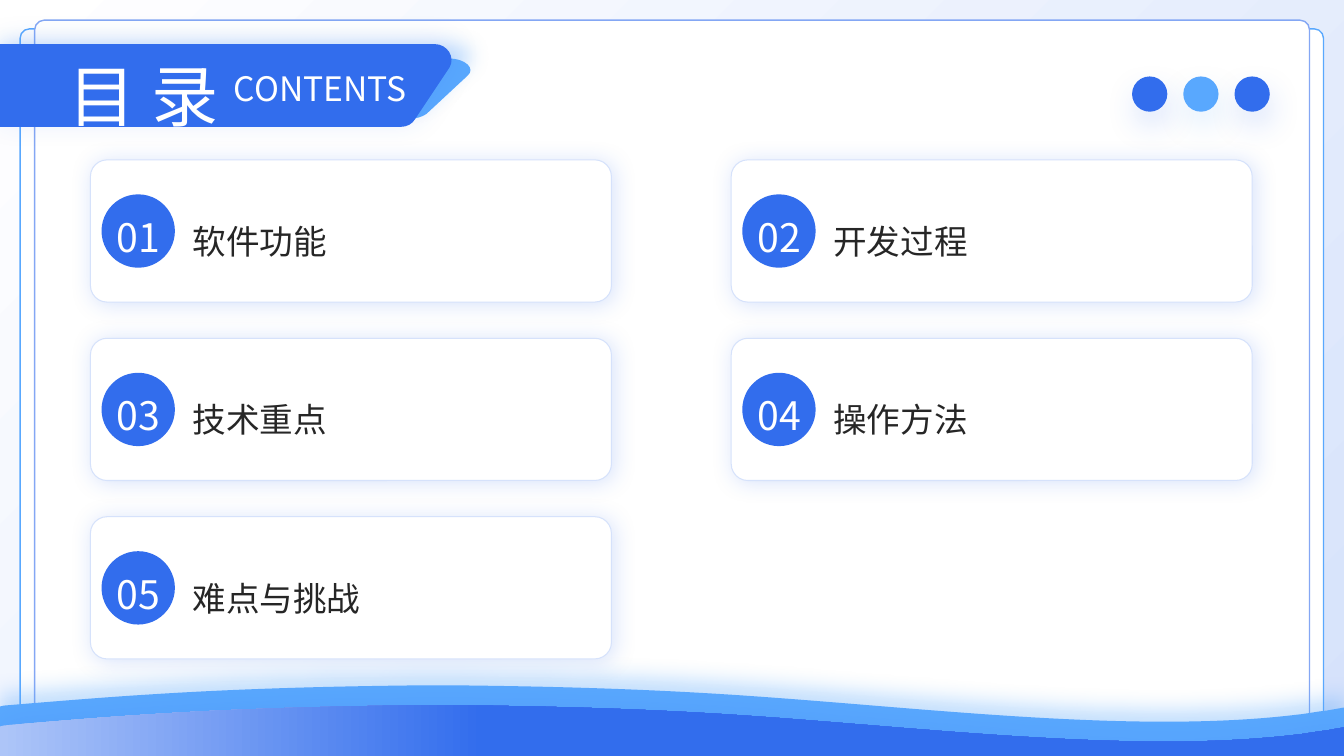
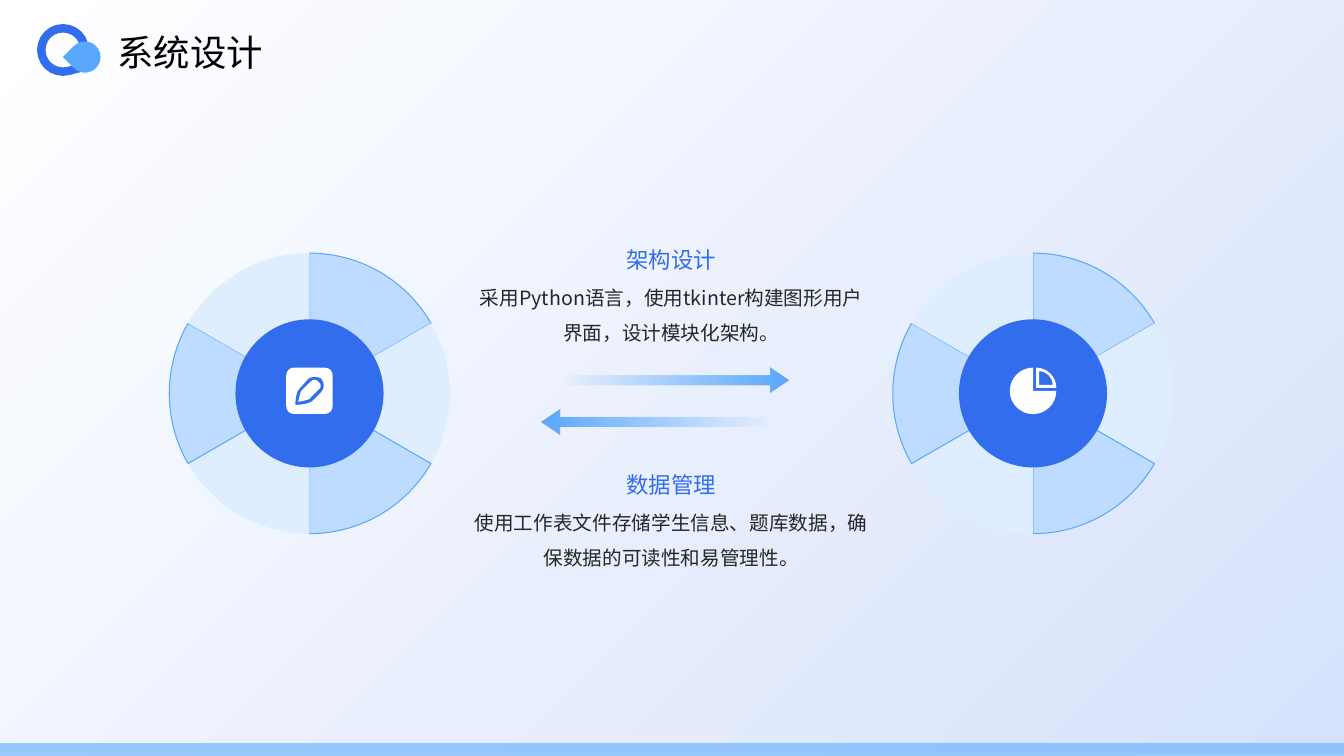
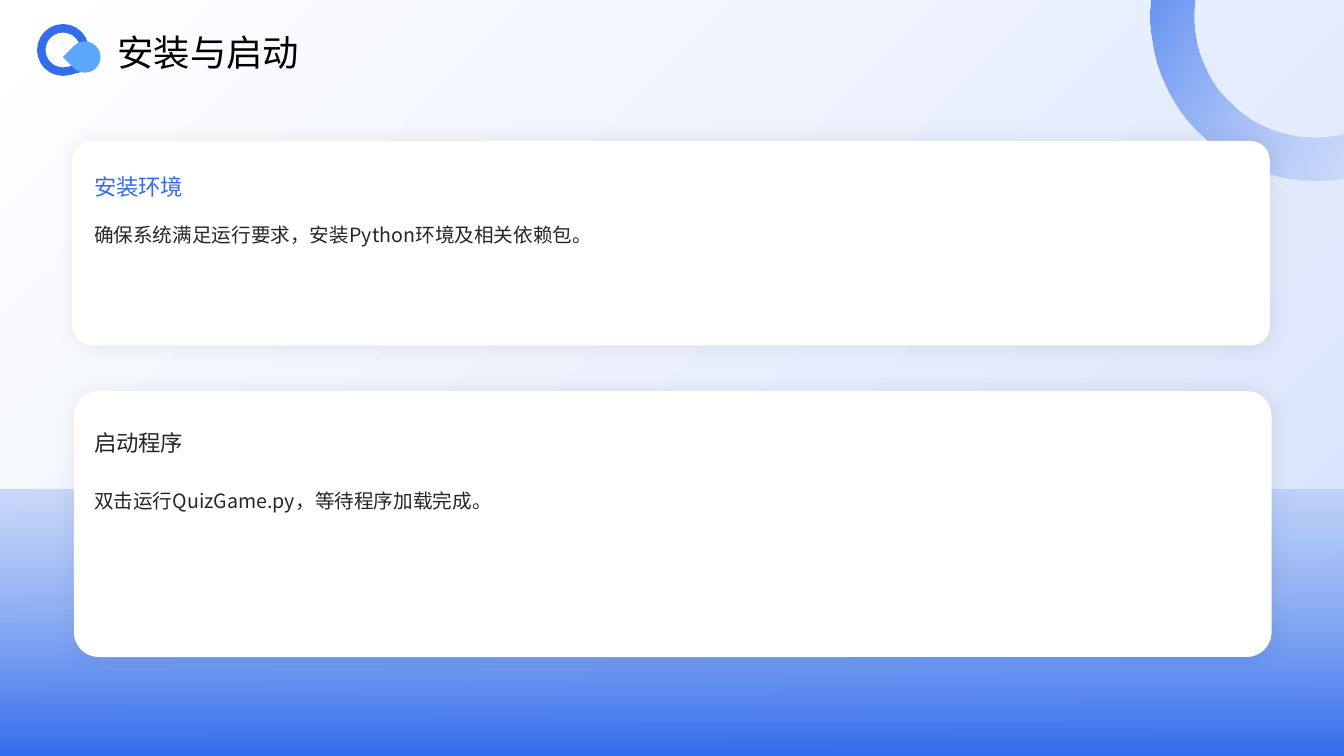
from dataclasses import dataclass
from math import cos, radians, sin, tan
from typing import NamedTuple, Optional, Union

from lxml.etree import SubElement
from pptx import Presentation
from pptx.dml.color import RGBColor
from pptx.enum.shapes import MSO_SHAPE
from pptx.enum.text import MSO_ANCHOR, PP_ALIGN
from pptx.oxml import parse_xml
from pptx.oxml.ns import nsdecls, qn
from pptx.util import Pt

WIDTH, HEIGHT = 960, 540
FONT = "Noto Sans CJK SC"
BLUE, SKY, MIST = "326DED", "59A8FE", "ADC5F8"
PALE, WHITE, INK, BLACK = "D6E2FB", "FFFFFF", "262626", "000000"
WEDGE_DARK, WEDGE_LIGHT = "BDDCFF", "DEEEFF"
Contour = list[tuple[float, ...]]


class Area(NamedTuple):
    """A rectangle in points."""
    left: float
    top: float
    width: float
    height: float


class Stop(NamedTuple):
    """A gradient stop; position and opacity in percent."""
    position: float
    color: str
    opacity: float = 100


class Gradient(NamedTuple):
    """A linear gradient; the angle runs clockwise from rightwards."""
    stops: list[Stop]
    angle: float = 0


class Shadow(NamedTuple):
    """An outer shadow; opacity in percent, lengths in points."""
    color: str
    opacity: float
    blur: float
    distance: float
    angle: float


@dataclass
class Look:
    """Fill, outline, shadow, turn and shape adjustments."""
    fill: Union[str, Gradient, None] = None
    line: Optional[str] = None
    weight: float = 0.75
    shadow: Optional[Shadow] = None
    rotation: float = 0
    adjustments: tuple[float, ...] = ()


@dataclass
class TextStyle:
    """Character and paragraph format of a text box."""
    size: float
    color: str = INK
    spacing: float = 1.5
    align: PP_ALIGN = PP_ALIGN.LEFT
    anchor: MSO_ANCHOR = MSO_ANCHOR.TOP
    inset: tuple[float, float] = (0, 0)


@dataclass
class Topic:
    """A heading with its text and the top of each."""
    heading: str
    body: str
    heading_top: float
    body_top: float
    heading_color: str = BLUE


SKY_GLOW = Shadow(SKY, 32, 14, 10, 270)
BLUE_GLOW = Shadow(BLUE, 12, 20, 4, 300)


def rgb(color: str) -> RGBColor:
    """Turn a hex string into a colour."""
    return RGBColor.from_string(color)


def color_xml(color: str, opacity: float) -> str:
    """Give the XML of a colour with opacity."""
    return f'<a:srgbClr val="{color}"><a:alpha val="{round(opacity * 1000)}"/></a:srgbClr>'


def fill_gradient(shape, gradient: Gradient) -> None:
    """Fill a shape with a linear gradient."""
    shape.fill.solid()
    properties = shape._element.spPr
    stops = "".join(
        f'<a:gs pos="{round(stop.position * 1000)}">{color_xml(stop.color, stop.opacity)}</a:gs>'
        for stop in gradient.stops)
    properties.replace(properties.find(qn("a:solidFill")), parse_xml(
        f'<a:gradFill {nsdecls("a")} rotWithShape="1"><a:gsLst>{stops}</a:gsLst>'
        f'<a:lin ang="{round(gradient.angle * 60000)}" scaled="0"/></a:gradFill>'))


def dress(shape, look: Look) -> None:
    """Apply a look to a shape."""
    if isinstance(look.fill, Gradient):
        fill_gradient(shape, look.fill)
    elif look.fill:
        shape.fill.solid()
        shape.fill.fore_color.rgb = rgb(look.fill)
    else:
        shape.fill.background()
    if look.line:
        shape.line.color.rgb = rgb(look.line)
        shape.line.width = Pt(look.weight)
    else:
        shape.line.fill.background()
    shape.shadow.inherit = False
    if look.shadow:
        shadow = look.shadow
        shape._element.spPr.find(qn("a:effectLst")).append(parse_xml(
            f'<a:outerShdw {nsdecls("a")} blurRad="{Pt(shadow.blur)}" dist="{Pt(shadow.distance)}" '
            f'dir="{round(shadow.angle * 60000)}" rotWithShape="0">'
            f'{color_xml(shadow.color, shadow.opacity)}</a:outerShdw>'))
    shape.rotation = look.rotation
    for index, value in enumerate(look.adjustments):
        shape.adjustments[index] = value


def draw(page, kind: MSO_SHAPE, area: Area, look: Look) -> None:
    """Add a preset shape."""
    dress(page.shapes.add_shape(kind, *map(Pt, area)), look)


def corners(step: tuple[float, ...]) -> list[tuple[int, int]]:
    """Split a step into its points."""
    return [(Pt(x), Pt(y)) for x, y in zip(step[::2], step[1::2])]


def bend(shape, contours: list[Contour]) -> None:
    """Turn the line triples that stand for cubic curves into curves."""
    outline = next(shape._element.spPr.iter(qn("a:path")))
    lines = iter(outline.findall(qn("a:lnTo")))
    for contour in contours:
        for step in contour[1:]:
            group = [next(lines) for _ in corners(step)]
            if len(group) == 3:
                curve = parse_xml(f'<a:cubicBezTo {nsdecls("a")}/>')
                group[0].addprevious(curve)
                for line in group:
                    curve.append(line[0])
                    outline.remove(line)


def draw_outline(page, contours: list[Contour], look: Look) -> None:
    """Add closed contours of points (x, y) and cubic curves (six numbers)."""
    builder = page.shapes.build_freeform(*corners(contours[0][0])[0])
    for index, contour in enumerate(contours):
        if index:
            builder.move_to(*corners(contour[0])[0])
        builder.add_line_segments([point for step in contour[1:] for point in corners(step)], close=True)
    shape = builder.convert_to_shape()
    bend(shape, contours)
    dress(shape, look)


def shift(contour: Contour, left: float, top: float) -> Contour:
    """Move a contour."""
    return [tuple(value + (top if index % 2 else left) for index, value in enumerate(step))
            for step in contour]


def sector(x: float, y: float, radius: float, start: float, step: float, count: int = 1) -> Contour:
    """Give a pie slice of some equal arcs; angles run clockwise from the right."""
    handle = 4 / 3 * tan(radians(step / 4))
    contour: Contour = [(cos(radians(start)), sin(radians(start)))]
    for index in range(count):
        first, last = radians(start + step * index), radians(start + step * (index + 1))
        contour.append((cos(first) - handle * sin(first), sin(first) + handle * cos(first),
                        cos(last) + handle * sin(last), sin(last) - handle * cos(last),
                        cos(last), sin(last)))
    contour.append((0, 0))
    return shift([tuple(radius * value for value in part) for part in contour], x, y)


def disc(x: float, y: float, radius: float) -> Area:
    """Give the box around a circle."""
    return Area(x - radius, y - radius, 2 * radius, 2 * radius)


def write(page, area: Area, text: str, style: TextStyle) -> None:
    """Add a text box with one paragraph."""
    frame = page.shapes.add_textbox(*map(Pt, area)).text_frame
    side, end = map(Pt, style.inset)
    frame_values = {"word_wrap": True, "vertical_anchor": style.anchor, "margin_left": side,
                    "margin_right": side, "margin_top": end, "margin_bottom": end}
    para = frame.paragraphs[0]
    span = para.add_run()
    span.text = text
    para_values = {"alignment": style.align, "line_spacing": style.spacing}
    font_values = {"name": FONT, "size": Pt(style.size)}
    for target, values in ((frame, frame_values), (para, para_values), (span.font, font_values)):
        for name, value in values.items():
            setattr(target, name, value)
    span.font.color.rgb = rgb(style.color)
    SubElement(span.font._element, qn("a:ea")).set("typeface", FONT)


def add_page(deck):
    """Add a page with the shared backdrop and bottom strip."""
    page = deck.slides.add_slide(deck.slide_layouts[6])
    backdrop = Gradient([Stop(0, WHITE), Stop(100, PALE)], 45)
    strip = Gradient([Stop(0, "9BCBFE"), Stop(100, SKY, 53)], 270)
    draw(page, MSO_SHAPE.RECTANGLE, Area(0, 0, WIDTH, HEIGHT), Look(backdrop))
    draw(page, MSO_SHAPE.RECTANGLE, Area(0, 530.9, WIDTH, 9.1), Look(strip))
    return page


def add_title(page, title: str) -> None:
    """Add the page title with its two drops."""
    draw(page, MSO_SHAPE.TEAR, Area(29.5, 20.2, 31, 31), Look(line=BLUE, weight=6, rotation=75))
    draw(page, MSO_SHAPE.TEAR, Area(49.5, 29.6, 22.3, 22.3), Look(SKY, rotation=225))
    write(page, Area(76.7, 18, 839.5, 38.9), title,
          TextStyle(26, BLACK, 1, inset=(7.2, 3.6)))


def add_wave(page, top: float, look: Look) -> None:
    """Add a wave that fills the foot of the page."""
    crest = [(0, 15.1), (2.9, 14.4), (38.2, 11.5, 72.7, 8.6, 106.6, 6.5),
             (173.5, 2.2, 236.9, 0.7, 296.6, 0), (329, 0),
             (389.5, 0.7, 452.2, 2.2, 519.8, 6.5),
             (654.5, 15.1, 807.8, 35.3, 926.6, 20.9),
             (933.8, 20.2, 940.3, 18.7, 947.5, 18), (WIDTH, 15.8)]
    draw_outline(page, [shift(crest, 0, top) + [(WIDTH, HEIGHT), (0, HEIGHT)]], look)


def add_contents_card(page, index: int, topic: str) -> None:
    """Add one numbered card of the two-column grid."""
    row, column = divmod(index, 2)
    left, top = 64.6 + 457.7 * column, 114.2 + 127.45 * row
    draw(page, MSO_SHAPE.ROUNDED_RECTANGLE, Area(left, top, 372.2, 101.6),
         Look(WHITE, PALE, shadow=Shadow(BLUE, 19, 16, 2, 30), adjustments=(0.117,)))
    write(page, Area(left + 72.9, top + 9.6, 286.6, 82), topic,
          TextStyle(24, anchor=MSO_ANCHOR.MIDDLE))
    draw(page, MSO_SHAPE.OVAL, Area(left + 7.9, top + 24.6, 52.4, 52.4), Look(BLUE))
    write(page, Area(left + 12.2, top + 28.2, 44, 43.2), f"{index + 1:02}",
          TextStyle(28, WHITE, 1.3, PP_ALIGN.CENTER, MSO_ANCHOR.MIDDLE))


def build_contents(deck) -> None:
    """Build the contents page."""
    page = add_page(deck)
    for area, line in ((Area(14.4, 20.6, 931, 512.6), SKY), (Area(24.8, 14.4, 910.6, 519.1), "84A7F4")):
        draw(page, MSO_SHAPE.ROUNDED_RECTANGLE, area, Look(WHITE, line, 1, adjustments=(0.013,)))
    back_ribbon = [(0, 41.8), (320.4, 41.8), (332.6, 41.8, 339.8, 49, 334.1, 54),
                   (304.6, 81.4), (301.7, 83.5, 296.6, 85, 291.6, 85), (0, 85)]
    front_ribbon = [(0, 31.5), (310.3, 31.5), (319.7, 31.5, 325.4, 41, 321.1, 48.2),
                    (296.6, 85), (294.5, 88.6, 290.9, 90.7, 285.8, 90.7), (0, 90.7)]
    draw_outline(page, [back_ribbon], Look(SKY, shadow=SKY_GLOW))
    draw_outline(page, [front_ribbon], Look(BLUE, shadow=BLUE_GLOW))
    for index, color in enumerate((BLUE, SKY, BLUE)):
        draw(page, MSO_SHAPE.OVAL, disc(821.2 + 36.6 * index, 67.2, 12.6),
             Look(color, shadow=Shadow(color, 17, 22, 10, 80)))
    add_wave(page, 489.6, Look(SKY, shadow=SKY_GLOW))
    add_wave(page, 503.8, Look(Gradient([Stop(0, MIST), Stop(36, BLUE)]), shadow=BLUE_GLOW))
    for index, topic in enumerate(("软件功能", "开发过程", "技术重点", "操作方法", "难点与挑战")):
        add_contents_card(page, index, topic)
    for left, width, text, size in ((49.3, 117.4, "目 录", 48), (167, 170.6, "CONTENTS", 24)):
        write(page, Area(left, 34.6, width, 48.2), text,
              TextStyle(size, WHITE, 1.3, anchor=MSO_ANCHOR.MIDDLE))


def add_wheel(page, x: float, y: float) -> None:
    """Add a wheel of six wedges around a blue core."""
    for index in range(6):
        look = Look(WEDGE_LIGHT) if index % 2 else Look(WEDGE_DARK, SKY)
        draw_outline(page, [sector(x, y, 100.2, 60 * index - 90, 60)], look)
    draw(page, MSO_SHAPE.OVAL, disc(x, y, 52.9), Look(BLUE))


def add_pen_icon(page, x: float, y: float) -> None:
    """Add a white tile with a pen cut out."""
    nib = [(20.2, 8.6), (21.6, 8.6, 22.3, 9.4, 23, 10.1), (25.2, 11.5, 25.2, 14.4, 23, 15.8),
           (16.6, 22.3), (15.8, 23, 12.2, 23.8, 8.6, 24.5), (9.4, 20.9, 10.1, 17.3, 10.8, 16.6),
           (17.3, 10.1), (18, 9.4, 19.4, 8.6, 20.2, 8.6)]
    rim = [(20.2, 6.5), (18.7, 6.5, 17.3, 7.2, 15.8, 7.9), (9.4, 15.1),
           (6.5, 17.3, 6.5, 26.6, 6.5, 26.6), (6.5, 26.6, 15.8, 26.6, 18.7, 23.8),
           (25.2, 17.3), (27.4, 15.1, 27.4, 10.8, 25.2, 7.9), (23.8, 7.2, 22.3, 6.5, 20.2, 6.5)]
    tile = [(5.5, 0), (27.6, 0), (30.7, 0, 33.1, 2.4, 33.1, 5.5),
            (33.1, 27.6), (33.1, 30.7, 30.7, 33.1, 27.6, 33.1),
            (5.5, 33.1), (2.4, 33.1, 0, 30.7, 0, 27.6), (0, 5.5), (0, 2.4, 2.4, 0, 5.5, 0)]
    draw_outline(page, [shift(part, x - 16.6, y - 16.6) for part in (nib, rim, tile)], Look(WHITE))


def add_pie_icon(page, x: float, y: float) -> None:
    """Add a white pie with a detached hollow quarter."""
    quarters = [sector(x + gap, y - gap, radius, -90, 90) for gap, radius in ((4.3, 9.7), (2.2, 14.4))]
    draw_outline(page, quarters + [sector(x, y, 16.6, 0, 90, 3)], Look(WHITE))


def build_design(deck) -> None:
    """Build the system design page."""
    page = add_page(deck)
    wheel_y, icon_y = 281, 279.2
    for x, add_icon in ((221.1, add_pen_icon), (737.9, add_pie_icon)):
        add_wheel(page, x, wheel_y)
        add_icon(page, x, icon_y)
    clear, solid = Stop(8, SKY, 0), Stop(100, SKY)
    arrows = ((MSO_SHAPE.RIGHT_ARROW, 262.3, [clear, solid]),
              (MSO_SHAPE.LEFT_ARROW, 292.3, [Stop(0, SKY), Stop(92, SKY, 0)]))
    for kind, top, stops in arrows:
        draw(page, kind, Area(386.6, top, 176.6, 18),
             Look(Gradient(stops), adjustments=(0.389, 0.75)))
    topics = (Topic("架构设计", "采用Python语言，使用tkinter构建图形用户界面，设计模块化架构。", 156.4, 195.6),
              Topic("数据管理", "使用工作表文件存储学生信息、题库数据，确保数据的可读性和易管理性。", 317, 356.2))
    for topic in topics:
        write(page, Area(336.6, topic.heading_top, 285.8, 38.9), topic.heading,
              TextStyle(16, topic.heading_color, align=PP_ALIGN.CENTER, anchor=MSO_ANCHOR.BOTTOM))
        write(page, Area(336.6, topic.body_top, 285.8, 59), topic.body,
              TextStyle(14, align=PP_ALIGN.CENTER))
    add_title(page, "系统设计")


def build_setup(deck) -> None:
    """Build the installation page."""
    page = add_page(deck)
    ring = Gradient([Stop(0, MIST, 0), Stop(100, BLUE)], 315)
    floor = Gradient([Stop(0, MIST, 61), Stop(100, BLUE)], 90)
    draw(page, MSO_SHAPE.DONUT, Area(821.5, -106.2, 235.4, 235.4),
         Look(ring, rotation=256.7, adjustments=(0.133,)))
    draw(page, MSO_SHAPE.RECTANGLE, Area(0, 349.6, WIDTH, 190.4), Look(floor))
    for card in (Area(51.6, 100.7, 855.5, 146), Area(52.8, 279.3, 855.5, 190)):
        draw(page, MSO_SHAPE.ROUNDED_RECTANGLE, card,
             Look(WHITE, shadow=Shadow(BLACK, 8, 15, 0, 0), adjustments=(0.094,)))
    topics = (Topic("安装环境", "确保系统满足运行要求，安装Python环境及相关依赖包。", 118.1, 147.6),
              Topic("启动程序", "双击运行QuizGame.py，等待程序加载完成。", 301, 337.3, INK))
    for topic in topics:
        write(page, Area(60.1, topic.heading_top, 820, 28), topic.heading,
              TextStyle(16, topic.heading_color, 1.1, inset=(7.2, 3.6)))
        write(page, Area(60.1, topic.body_top, 820, 88), topic.body,
              TextStyle(14, inset=(7.2, 3.6)))
    add_title(page, "安装与启动")


def main() -> None:
    """Build and save the deck."""
    deck = Presentation()
    deck.slide_width, deck.slide_height = Pt(WIDTH), Pt(HEIGHT)
    for build in (build_contents, build_design, build_setup):
        build(deck)
    deck.save("out.pptx")


if __name__ == "__main__":
    main()
